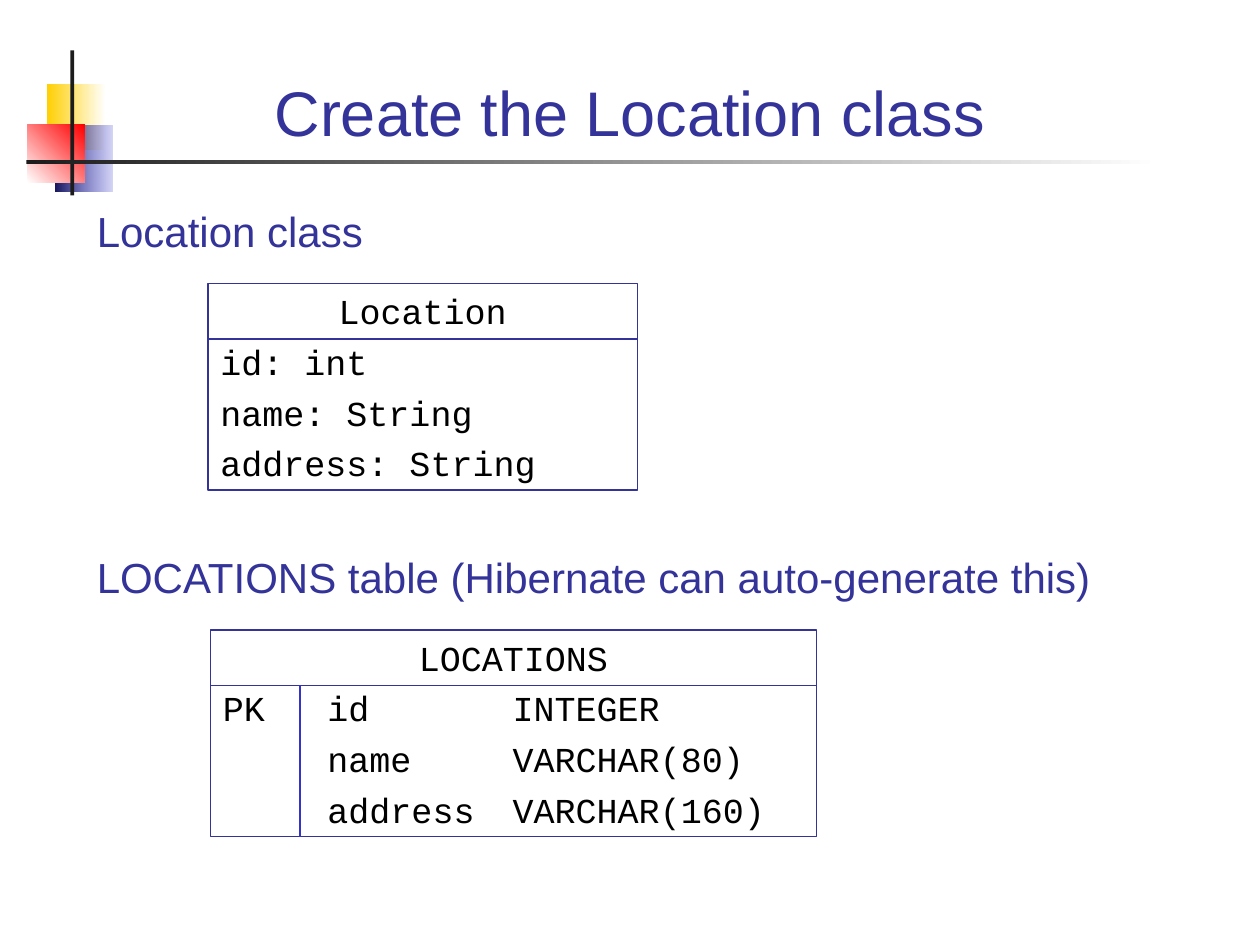
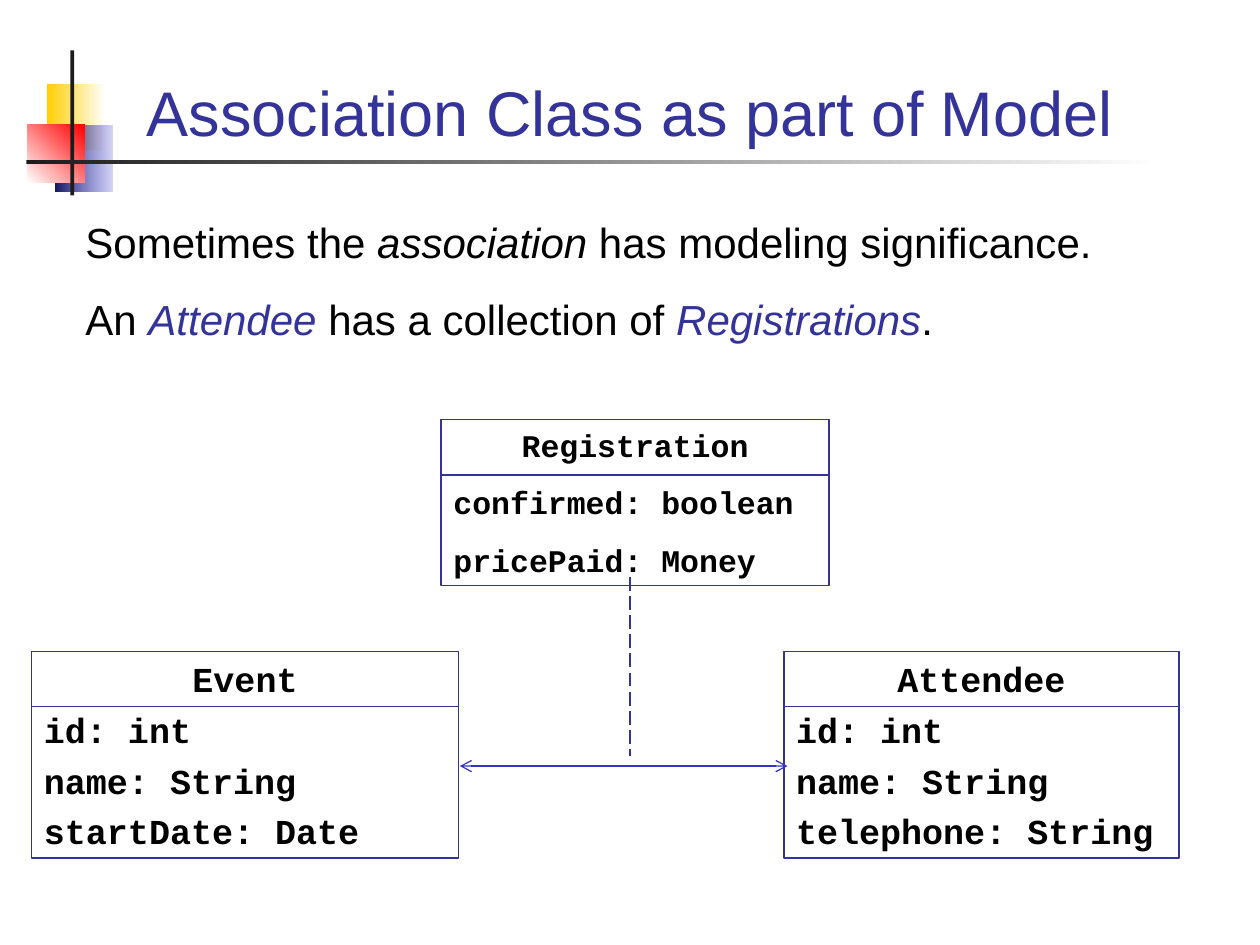
from lxml.etree import SubElement
from pptx import Presentation
from pptx.dml.color import RGBColor
from pptx.enum.dml import MSO_LINE_DASH_STYLE as DASH
from pptx.enum.shapes import MSO_CONNECTOR, MSO_SHAPE
from pptx.enum.text import MSO_ANCHOR as ANCHOR, PP_ALIGN as ALIGN
from pptx.oxml.ns import qn
from pptx.util import Inches, Pt

NAVY = RGBColor(0x33, 0x33, 0x99)
BLUE = RGBColor(0x33, 0x33, 0xCC)
MIDNIGHT = RGBColor(0x18, 0x18, 0x5E)
GOLD = RGBColor(0xFF, 0xCF, 0x01)
RED = RGBColor(0xFF, 0x00, 0x00)
CHARCOAL = RGBColor(0x1C, 0x1C, 0x1C)
BLACK = RGBColor(0x00, 0x00, 0x00)
WHITE = RGBColor(0xFF, 0xFF, 0xFF)

SANS, MONO = "Arial", "Courier New"


class Deck:
    """Holds the shared style and the slide being built."""

    def __init__(self):
        self.prs = Presentation()
        self.prs.slide_width, self.prs.slide_height = Inches(10), Inches(7.5)
        self.slide = None

    def new_slide(self, title):
        self.slide = self.prs.slides.add_slide(self.prs.slide_layouts[6])
        # Corner squares, then the crossing bars
        self.block(0.37, 0.67, 0.47, 0.52, GOLD, WHITE)
        self.block(0.44, 1, 0.45, 0.52, MIDNIGHT, BLUE, alpha=20)
        self.block(0.22, 0.99, 0.45, 0.46, WHITE, RED, angle=45)
        self.block(0.56, 0.4, 0.03, 1.15, CHARCOAL)
        self.block(0.21, 1.27, 9, 0.03, CHARCOAL, WHITE)
        self.text(0.67, 0.28, 8.66, 0.95, [[(title, NAVY, False)]], size=36,
                  anchor=ANCHOR.BOTTOM, align=ALIGN.CENTER)

    def rect(self, x, y, w, h):
        sp = self.slide.shapes.add_shape(
            MSO_SHAPE.RECTANGLE, Inches(x), Inches(y), Inches(w), Inches(h))
        sp.shadow.inherit = False
        return sp

    def block(self, x, y, w, h, color, fade_to=None, angle=0, alpha=None):
        """Borderless rectangle, plain or fading to a second colour."""
        sp = self.rect(x, y, w, h)
        sp.line.fill.background()
        if fade_to is None:
            sp.fill.solid()
            sp.fill.fore_color.rgb = color
            return
        sp.fill.gradient()
        sp.fill.gradient_angle = angle
        for stop, rgb in zip(sp.fill.gradient_stops, (color, fade_to)):
            stop.color.rgb = rgb
        if alpha:
            last = sp._element.spPr.findall(".//" + qn("a:srgbClr"))[-1]
            SubElement(last, qn("a:alpha"), val=str(alpha * 1000))

    def frame(self, sp, anchor=ANCHOR.TOP):
        tf = sp.text_frame
        tf.word_wrap = True
        tf.vertical_anchor = anchor
        tf.margin_left = tf.margin_right = Inches(0.1)
        tf.margin_top = tf.margin_bottom = Inches(0.05)
        return tf

    def paragraph(self, tf, index, align, gap, tabs=()):
        p = tf.add_paragraph() if index else tf.paragraphs[0]
        p.alignment = align
        if index:
            p.space_before = Pt(gap)
        if tabs:
            tab_list = SubElement(p._p.get_or_add_pPr(), qn("a:tabLst"))
            for pos in tabs:
                SubElement(tab_list, qn("a:tab"), pos=str(Inches(pos)), algn="l")
        return p

    def run(self, p, text, font, size, color, bold=False, italic=False):
        r = p.add_run()
        r.text = text
        r.font.name, r.font.size = font, Pt(size)
        r.font.bold, r.font.italic = bold, italic
        r.font.color.rgb = color

    def text(self, x, y, w, h, paragraphs, size=24, gap=0,
             anchor=ANCHOR.TOP, align=ALIGN.LEFT):
        """Text box; each paragraph is a list of (text, colour, italic)."""
        sp = self.slide.shapes.add_textbox(
            Inches(x), Inches(y), Inches(w), Inches(h))
        tf = self.frame(sp, anchor)
        for i, runs in enumerate(paragraphs):
            p = self.paragraph(tf, i, align, gap)
            for text, color, italic in runs:
                self.run(p, text, SANS, size, color, italic=italic)

    def class_box(self, x, y, w, h, name, fields, size=20, gap=5,
                  bold=False, border=1, tabs=()):
        """UML box: centred name, a divider, then one field a line."""
        sp = self.rect(x, y, w, h)
        sp.fill.background()
        sp.line.color.rgb, sp.line.width = NAVY, Pt(border)
        tf = self.frame(sp)
        for i, text in enumerate([name, *fields]):
            align = ALIGN.LEFT if i else ALIGN.CENTER
            p = self.paragraph(tf, i, align, gap, tabs if i else ())
            self.run(p, text, MONO, size, BLACK, bold=bold)
        self.line(x, y + 0.44, x + w, y + 0.44)

    def line(self, x1, y1, x2, y2, color=NAVY, width=0.75, dash=None,
             arrows=False):
        cx = self.slide.shapes.add_connector(
            MSO_CONNECTOR.STRAIGHT, Inches(x1), Inches(y1), Inches(x2), Inches(y2))
        cx.line.color.rgb, cx.line.width = color, Pt(width)
        if dash:
            cx.line.dash_style = dash
        if arrows:
            for end in ("a:headEnd", "a:tailEnd"):
                SubElement(cx.line._get_or_add_ln(), qn(end), type="arrow")
        SubElement(cx._element.spPr, qn("a:effectLst"))


def location_slide(deck):
    deck.new_slide("Create the Location class")
    for y, heading in ((1.58, "Location class"),
                       (4.33, "LOCATIONS table (Hibernate can auto-generate this)")):
        deck.text(0.67, y, 8.66, 0.68, [[(heading, NAVY, False)]])
    deck.class_box(1.65, 2.25, 3.41, 1.64, "Location",
                   ["id: int", "name: String", "address: String"])
    # Database table with its key column
    deck.class_box(1.67, 5, 4.81, 1.64, "LOCATIONS",
                   ["PK\tid\tINTEGER", "\tname\tVARCHAR(80)",
                    "\taddress\tVARCHAR(160)"], tabs=(0.83, 2.3))
    deck.line(2.38, 5.44, 2.38, 6.64, BLUE)


def association_slide(deck):
    deck.new_slide("Association Class as part of Model")
    # Classes at both ends of the association
    deck.class_box(0.25, 5.17, 3.39, 1.64, "Event",
                   ["id: int", "name: String", "startDate: Date"], bold=True)
    deck.class_box(6.22, 5.17, 3.14, 1.64, "Attendee",
                   ["id: int", "name: String", "telephone: String"], bold=True)
    deck.line(3.65, 6.08, 6.25, 6.08, BLUE, arrows=True)
    # Association class
    deck.class_box(3.5, 3.33, 3.08, 1.32, "Registration",
                   ["confirmed: boolean", "pricePaid: Money"],
                   size=18, gap=11.2, bold=True, border=0.75)
    deck.line(5, 4.58, 5, 6, width=1, dash=DASH.LONG_DASH)
    deck.text(0.58, 1.67, 8.83, 1.11, [
        [("Sometimes the ", BLACK, False), ("association ", BLACK, True),
         ("has modeling significance.", BLACK, False)],
        [("An ", BLACK, False), ("Attendee", NAVY, True),
         (" has a collection of ", BLACK, False),
         ("Registrations", NAVY, True), (".", BLACK, False)],
    ], gap=15)


def main():
    deck = Deck()
    location_slide(deck)
    association_slide(deck)
    deck.prs.save("out.pptx")


if __name__ == "__main__":
    main()
